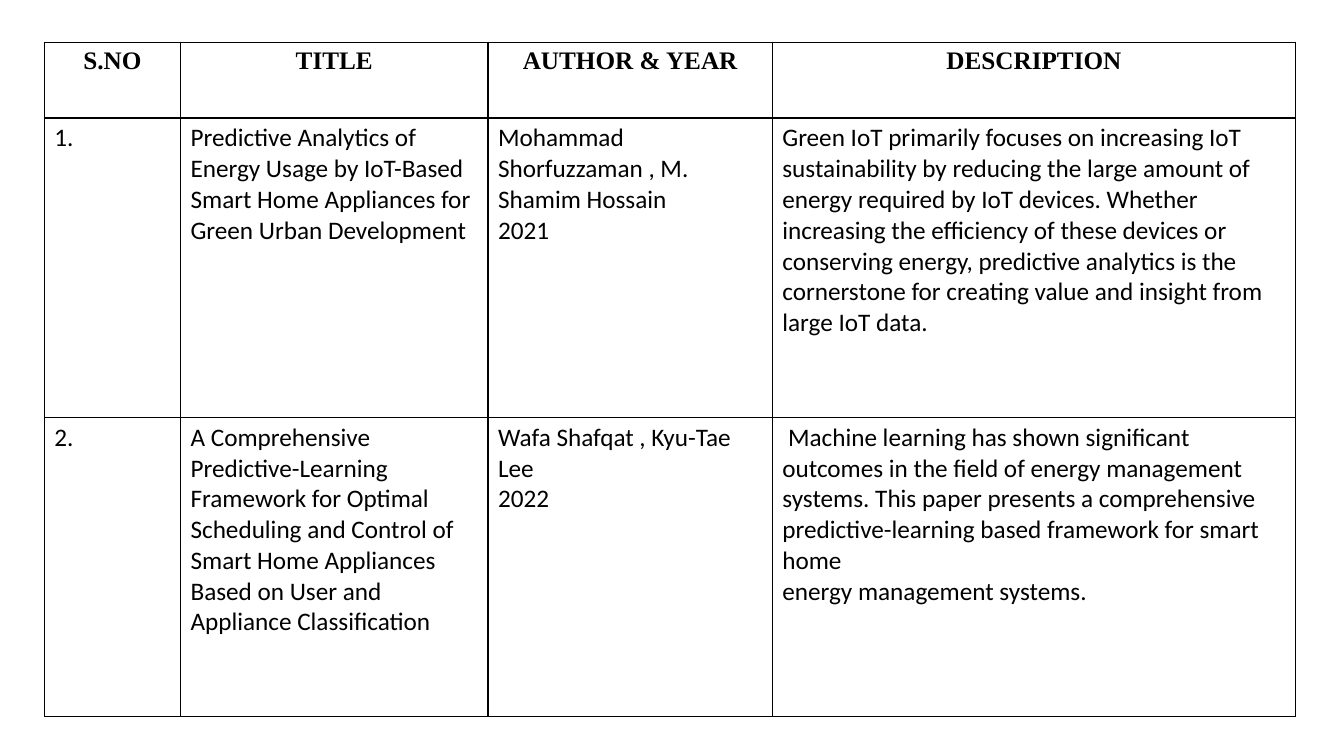
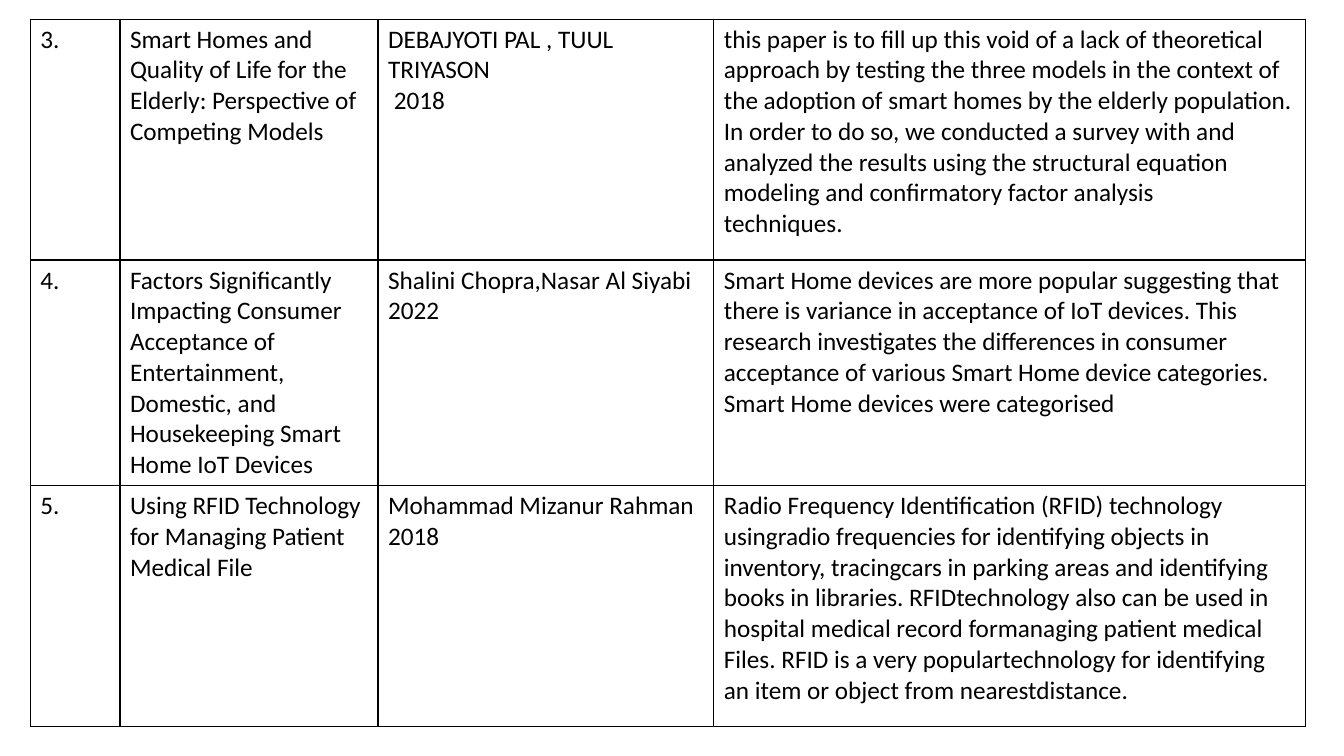
from pptx import Presentation
from pptx import util as u
from pptx.dml import color
from pptx.enum import text
from pptx.oxml import ns
from lxml import etree

INK, PAPER = "000000", "FFFFFF"
BODY_FONT, HEADER_FONT, TEXT_SIZE = "Calibri", "Times New Roman", 18
BORDER_WIDTH = 1

HEADER = ("S.NO", "TITLE", "AUTHOR & YEAR", "DESCRIPTION")

FIRST_PAPERS = [
    ("1.",
     "Predictive Analytics of Energy Usage by IoT-Based Smart Home Appliances "
     "for Green Urban Development",
     "Mohammad Shorfuzzaman , M. Shamim Hossain \n2021",
     "Green IoT primarily focuses on increasing IoT sustainability by reducing "
     "the large amount of energy required by IoT devices. Whether increasing the "
     "efficiency of these devices or conserving energy, predictive analytics is "
     "the cornerstone for creating value and insight from large IoT data. "),
    ("2.",
     "A Comprehensive Predictive-Learning Framework for Optimal Scheduling and "
     "Control of Smart Home Appliances Based on User and Appliance Classification",
     "Wafa Shafqat , Kyu-Tae Lee\n2022",
     " Machine learning has shown significant outcomes in the field of energy "
     "management\nsystems. This paper presents a comprehensive predictive-learning "
     "based framework for smart home\nenergy management systems."),
]

LATER_PAPERS = [
    ("3.",
     "Smart Homes and Quality of Life for the Elderly: Perspective of Competing "
     "Models",
     "DEBAJYOTI PAL , TUUL TRIYASON\n 2018",
     "this paper is to fill up this void of a lack of theoretical approach by "
     "testing the three models in the context of the adoption of smart homes by "
     "the elderly population. In order to do so, we conducted a survey with and "
     "analyzed the results using the structural equation modeling and "
     "confirmatory factor analysis\ntechniques."),
    ("4.",
     "Factors Significantly Impacting Consumer Acceptance of Entertainment, "
     "Domestic, and Housekeeping Smart Home IoT Devices",
     "Shalini Chopra,Nasar Al Siyabi \n2022",
     "Smart Home devices are more popular suggesting that there is variance in "
     "acceptance of IoT devices. This research investigates the differences in "
     "consumer acceptance of various Smart Home device categories. Smart Home "
     "devices were categorised"),
    ("5.",
     "Using RFID Technology for Managing Patient Medical File",
     "Mohammad Mizanur Rahman \n2018",
     "Radio Frequency Identification (RFID) technology usingradio frequencies "
     "for identifying objects in inventory, tracingcars in parking areas and "
     "identifying books in libraries. RFIDtechnology also can be used in "
     "hospital medical record formanaging patient medical Files. RFID is a very "
     "populartechnology for identifying an item or object from nearestdistance."),
]

SURVEY_PAGES = [
    {"corner": (0.44, 0.42), "columns": (1.35, 3.05, 2.82, 5.19),
     "heights": (0.75, 2.97, 2.97), "rows": [HEADER] + FIRST_PAPERS},
    {"corner": (0.3, 0.19), "columns": (0.89, 2.56, 3.33, 5.87),
     "heights": (2.39, 2.1, 2.39), "rows": LATER_PAPERS},
]


def rgb(value):
    """Turn a hex string into a colour."""
    return color.RGBColor.from_string(value)


def add_borders(cell):
    """Rule all four sides of a cell."""
    properties = cell._tc.get_or_add_tcPr()
    for side in ("a:lnL", "a:lnR", "a:lnT", "a:lnB"):
        line = etree.SubElement(properties, ns.qn(side), w=str(u.Pt(BORDER_WIDTH)))
        fill = etree.SubElement(line, ns.qn("a:solidFill"))
        etree.SubElement(fill, ns.qn("a:srgbClr"), val=INK)


def fill_cell(cell, content, is_header):
    """Write and style one cell; each line is a paragraph."""
    add_borders(cell)
    cell.fill.solid()
    cell.fill.fore_color.rgb = rgb(PAPER)
    cell.text_frame.text = content
    for para in cell.text_frame.paragraphs:
        if is_header:
            para.alignment = text.PP_ALIGN.CENTER
        for span in para.runs:
            span.font.name = HEADER_FONT if is_header else BODY_FONT
            span.font.size = u.Pt(TEXT_SIZE)
            span.font.bold = is_header
            span.font.color.rgb = rgb(INK)


def add_survey(page, corner, columns, heights, rows):
    """Place one literature table on a page."""
    left, top = corner
    table = page.shapes.add_table(
        len(rows), len(columns), u.Inches(left), u.Inches(top),
        u.Inches(sum(columns)), u.Inches(sum(heights))).table
    table.first_row = table.horz_banding = False
    for column, width in zip(table.columns, columns):
        column.width = u.Inches(width)
    for row, height, contents in zip(table.rows, heights, rows):
        row.height = u.Inches(height)
        for cell, content in zip(row.cells, contents):
            fill_cell(cell, content, contents is HEADER)


deck = Presentation()
deck.slide_width, deck.slide_height = u.Inches(13.33), u.Inches(7.5)
for survey in SURVEY_PAGES:
    add_survey(deck.slides.add_slide(deck.slide_layouts[6]), **survey)
deck.save("out.pptx")
